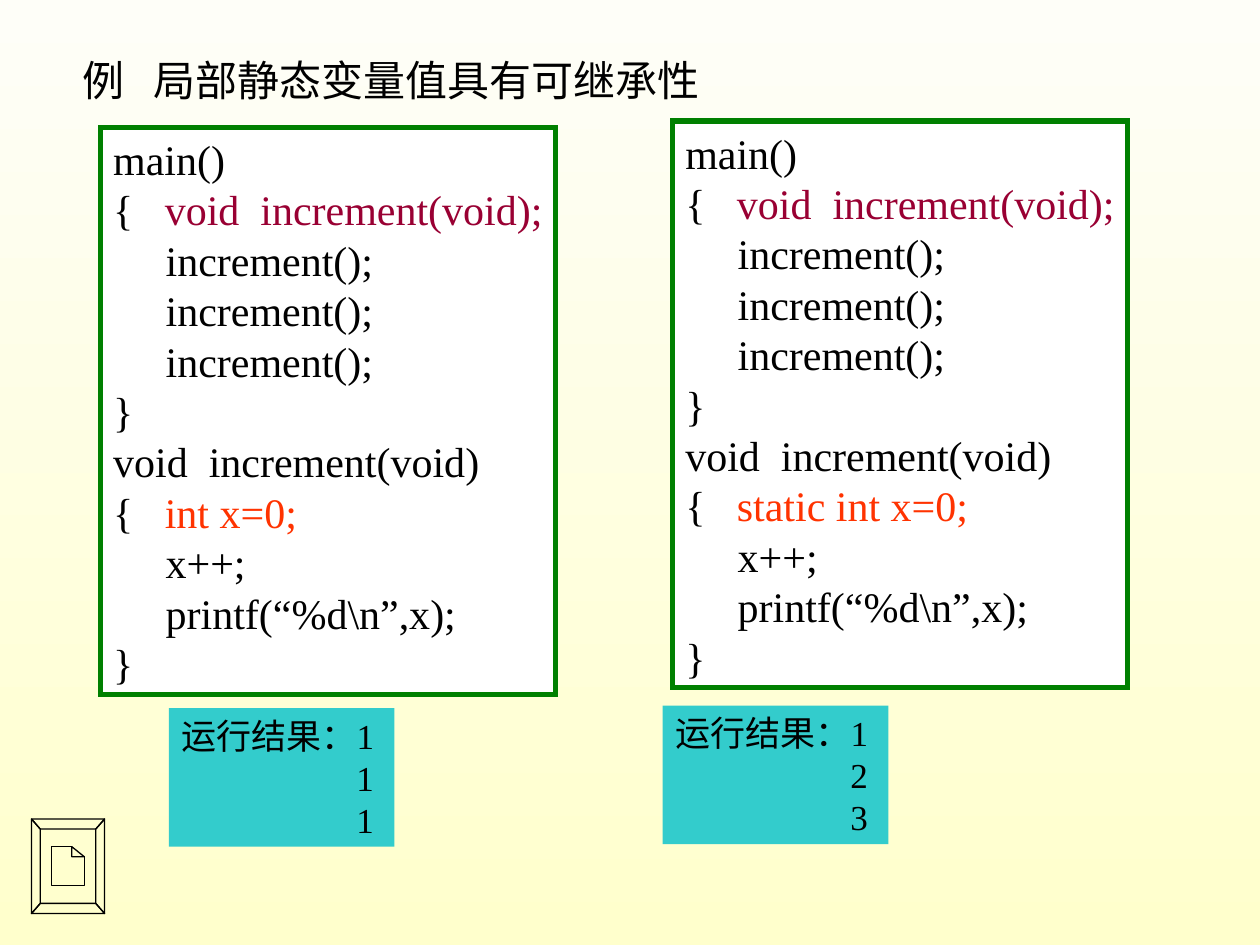
from pptx import Presentation, util as u
from pptx.dml.color import RGBColor
from pptx.enum import shapes, text
from pptx.oxml import parse_xml
from pptx.oxml.ns import nsdecls

COLORS = {
    "black": "000000", "white": "FFFFFF", "green": "008000", "teal": "33CCCC",
    "declaration": "990033", "variable": "FF3300",
    "gradient top": "FEFEF8", "gradient bottom": "FFFFCC",
}
FONT = "Times New Roman"


def add_text(box, lines, size):
    """Fill a box with lines, each a list of (text, colour name) spans."""
    frame = box.text_frame
    frame.word_wrap = False
    frame.auto_size = text.MSO_AUTO_SIZE.NONE
    frame.vertical_anchor = text.MSO_ANCHOR.TOP
    frame.margin_right = 0  # spare room so that the longest line stays whole
    for index, spans in enumerate(lines):
        para = frame.add_paragraph() if index else frame.paragraphs[0]
        para.alignment = text.PP_ALIGN.LEFT
        para.font.name = FONT
        para.font.size = u.Pt(size)
        for words, color in spans:
            span = para.add_run()
            span.text = words
            span.font.color.rgb = RGBColor.from_string(COLORS[color])


def add_box(place, size, fill):
    box = page.shapes.add_shape(shapes.MSO_SHAPE.RECTANGLE, *map(u.Inches, place + size))
    box.shadow.inherit = False
    box.fill.solid()
    box.fill.fore_color.rgb = RGBColor.from_string(COLORS[fill])
    box.line.fill.background()
    return box


deck = Presentation()
deck.slide_width, deck.slide_height = u.Inches(10), u.Inches(7.5)
page = deck.slides.add_slide(deck.slide_layouts[6])
backdrop = page.background.fill
backdrop.gradient()
backdrop.gradient_angle = 270
for stop, name in zip(backdrop.gradient_stops, ("gradient top", "gradient bottom")):
    stop.color.rgb = RGBColor.from_string(COLORS[name])

# Title, with a tab stop after its first character
title = page.shapes.add_textbox(u.Inches(0.56), u.Inches(0.38), u.Inches(5.09), u.Inches(0.5))
title_properties = title.text_frame.paragraphs[0]._p.get_or_add_pPr()
title_properties.append(parse_xml(
    f'<a:tabLst {nsdecls("a")}><a:tab pos="{u.Inches(0.56)}" algn="l"/></a:tabLst>'))
add_text(title, [[("例\t局部静态变量值具有可继承性", "black")]], 24)
title.text_frame.word_wrap = True

# Two programs, each with its output below: declaration, code place, result place, output
programs = [
    ("int x=0;", (0.8, 1.01), (1.34, 5.62), "111"),
    ("static int x=0;", (5.34, 0.96), (5.26, 5.6), "123"),
]
for variable, code_place, result_place, output in programs:
    code = add_box(code_place, (3.61, 4.5), "white")
    code.line.color.rgb = RGBColor.from_string(COLORS["green"])
    code.line.width = u.Pt(3)
    code.line._get_or_add_ln().append(parse_xml(f'<a:miter {nsdecls("a")} lim="800000"/>'))
    call = [("     increment();", "black")]
    add_text(code, [
        [("main()", "black")],
        [("{   ", "black"), ("void  increment(void);", "declaration")],
        call, call, call,
        [("}", "black")],
        [("void  increment(void)", "black")],
        [("{   ", "black"), (variable, "variable")],
        [("     x++;", "black")],
        [("     printf(“%d\\n”,x);", "black")],
        [("}", "black")],
    ], 24)
    code.text_frame.word_wrap = True

    result = add_box(result_place, (1.79, 1.1), "teal")
    first, *others = output
    add_text(result, [[("运行结果：" + first, "black")]] + [[(n, "black")] for n in others], 20)
    result.text_frame.word_wrap = True
    for para in result.text_frame.paragraphs[1:]:
        para._p.get_or_add_pPr().set("marL", str(u.Inches(1.39)))

# Document button, in hundredths of an inch: a bevelled frame around a sheet with a folded corner
outer = [(25, 650), (83, 650), (83, 725), (25, 725)]
inner = [(32, 658), (76, 658), (76, 717), (32, 717)]
bevels = [[outer[i], outer[(i + 1) % 4], inner[(i + 1) % 4], inner[i]] for i in range(4)]
sheet = [(41, 672), (57, 672), (57, 680), (67, 680), (67, 703), (41, 703)]
fold = [(57, 672), (67, 680), (57, 680)]
builder = page.shapes.build_freeform(*outer[0], scale=u.Inches(0.01))
for start, *rest in bevels + [sheet, fold]:
    builder.move_to(*start)
    builder.add_line_segments(rest, close=True)
button = builder.convert_to_shape()
button.shadow.inherit = False
button.fill.background()
button.line.color.rgb = RGBColor.from_string(COLORS["black"])
button.line.width = u.Pt(0.75)

deck.save("out.pptx")
